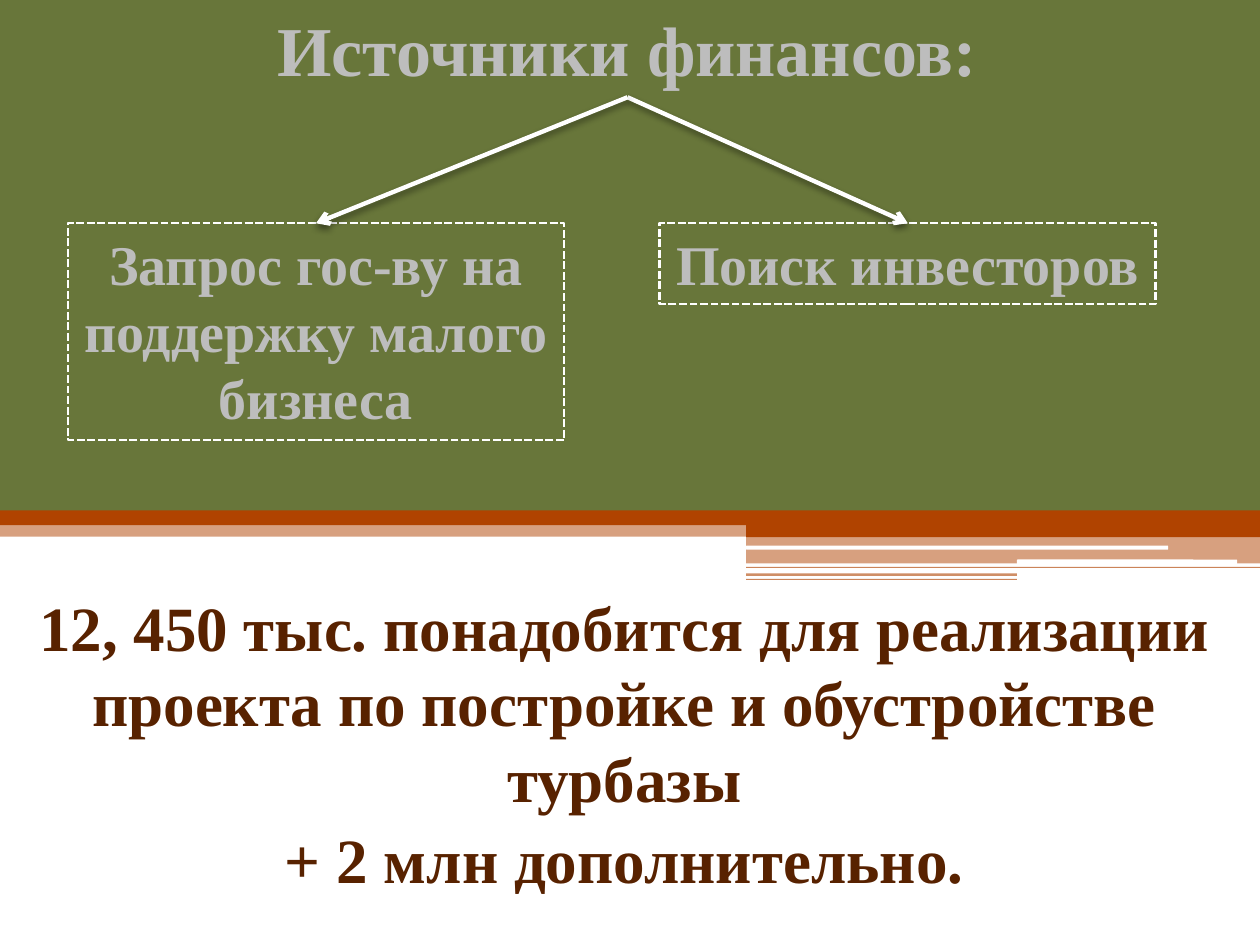
import dataclasses

import lxml.etree
import pptx
import pptx.dml.color
import pptx.enum.dml
import pptx.enum.shapes
import pptx.enum.text
import pptx.oxml.ns
import pptx.util

Cm = pptx.util.Cm
Pt = pptx.util.Pt
Shape = pptx.enum.shapes.MSO_SHAPE
Anchor = pptx.enum.text.MSO_ANCHOR
qn = pptx.oxml.ns.qn


@dataclasses.dataclass(frozen=True)
class Theme:
    green: str = "68763A"
    rust: str = "B04300"
    white: str = "FFFFFF"
    silver: str = "BDBDBD"
    brown: str = "582200"
    black: str = "000000"
    font: str = "Times New Roman"
    title_size: int = 40
    box_size: int = 32
    body_size: int = 36


THEME = Theme()
SPLIT = 15.04
STEP = 20.5
WIDTH = 25.4


def color(value):
    return pptx.dml.color.RGBColor.from_string(value)


def apply(target, values):
    for name, value in values.items():
        setattr(target, name, value)


def add_bar(page, left, top, right, height, fill, opacity=100, kind=Shape.RECTANGLE):
    bar = page.shapes.add_shape(kind, Cm(left), Cm(top), Cm(right - left), Cm(height))
    bar.shadow.inherit = False
    bar.fill.solid()
    bar.fill.fore_color.rgb = color(fill)
    bar.line.fill.background()
    if opacity < 100:
        tone = bar.fill._xPr.find(f".//{qn('a:srgbClr')}")
        lxml.etree.SubElement(tone, qn("a:alpha"), val=str(opacity * 1000))


def write_text(box, lines, size, tint, anchor=Anchor.TOP, indent=0, space=0):
    apply(box.text_frame, {"word_wrap": True, "vertical_anchor": anchor})
    for index, line in enumerate(lines):
        para = box.text_frame.paragraphs[0] if index == 0 else box.text_frame.add_paragraph()
        para.alignment = pptx.enum.text.PP_ALIGN.CENTER
        if index:
            para.space_before = Pt(space)
        if indent:
            para._p.get_or_add_pPr().set("marL", str(Cm(indent)))
        span = para.add_run()
        span.text = line
        apply(span.font, {"name": THEME.font, "size": Pt(size), "bold": True})
        span.font.color.rgb = color(tint)


def add_text(page, left, top, width, height, lines, size, tint, **layout):
    box = page.shapes.add_textbox(Cm(left), Cm(top), Cm(width), Cm(height))
    write_text(box, lines, size, tint, **layout)


def add_source(page, left, height, label):
    box = page.shapes.add_shape(Shape.RECTANGLE, Cm(left), Cm(4.5), Cm(10), Cm(height))
    box.shadow.inherit = False
    box.fill.background()
    box.line.color.rgb = color(THEME.white)
    apply(box.line, {"width": Pt(1.5), "dash_style": pptx.enum.dml.MSO_LINE.SQUARE_DOT})
    write_text(box, [label], THEME.box_size, THEME.silver)
    return box


def add_arrow(page, left, top, target):
    arrow = page.shapes.add_connector(
        pptx.enum.shapes.MSO_CONNECTOR.STRAIGHT, Cm(left), Cm(top), Cm(left), Cm(top)
    )
    arrow.end_connect(target, 0)
    arrow.line.color.rgb = color(THEME.white)
    arrow.line.width = Pt(2.5)
    lxml.etree.SubElement(arrow.line._get_or_add_ln(), qn("a:tailEnd"), type="arrow")
    effects = lxml.etree.SubElement(arrow._element.spPr, qn("a:effectLst"))
    shadow = lxml.etree.SubElement(
        effects, qn("a:outerShdw"), blurRad=str(Pt(4)), dist=str(Pt(2)),
        dir="5400000", rotWithShape="0",
    )
    tone = lxml.etree.SubElement(shadow, qn("a:srgbClr"), val=THEME.black)
    lxml.etree.SubElement(tone, qn("a:alpha"), val="45000")


def add_backdrop(page):
    add_bar(page, SPLIT, 10.58, WIDTH, 0.25, THEME.rust)
    for top, right, height, opacity in (
        (10.83, WIDTH, 0.53, 50),
        (11.43, WIDTH, 0.02, 65),
        (11.56, STEP, 0.05, 60),
        (11.67, STEP, 0.02, 65),
    ):
        add_bar(page, SPLIT, top, right, height, THEME.rust, opacity)
    for left, top, right, height in ((SPLIT, 11, 23.55, 0.08), (STEP, 11.28, 24.94, 0.1)):
        add_bar(page, left, top, right, height, THEME.white, kind=Shape.ROUNDED_RECTANGLE)
    add_bar(page, 0, 10.13, WIDTH, 0.69, THEME.rust, 50)
    add_bar(page, 0, 10.21, WIDTH, 0.38, THEME.rust)
    add_bar(page, 17.81, 10.11, WIDTH, 0.69, THEME.rust)
    add_bar(page, 0, 0, WIDTH, 10.29, THEME.green)


def main():
    deck = pptx.Presentation()
    apply(deck, {"slide_width": Cm(WIDTH), "slide_height": Cm(19.05)})
    page = deck.slides.add_slide(deck.slide_layouts[6])
    add_backdrop(page)
    add_text(page, 0.89, 0, 23.5, 1.96, ["Источники финансов:"],
             THEME.title_size, THEME.silver, anchor=Anchor.BOTTOM)
    support = add_source(page, 1.37, 4.37, "Запрос гос-ву на поддержку малого бизнеса")
    investors = add_source(page, 13.3, 1.63, "Поиск инвесторов")
    for target in (investors, support):
        add_arrow(page, 12.65, 1.96, target)
    add_text(page, -0.18, 11.73, 25.35, 5.66, [
        "12, 450 тыс. понадобится для реализации проекта по постройке и обустройстве турбазы",
        "+ 2 млн дополнительно.",
    ], THEME.body_size, THEME.brown, indent=0.18, space=3)
    deck.save("out.pptx")


if __name__ == "__main__":
    main()
